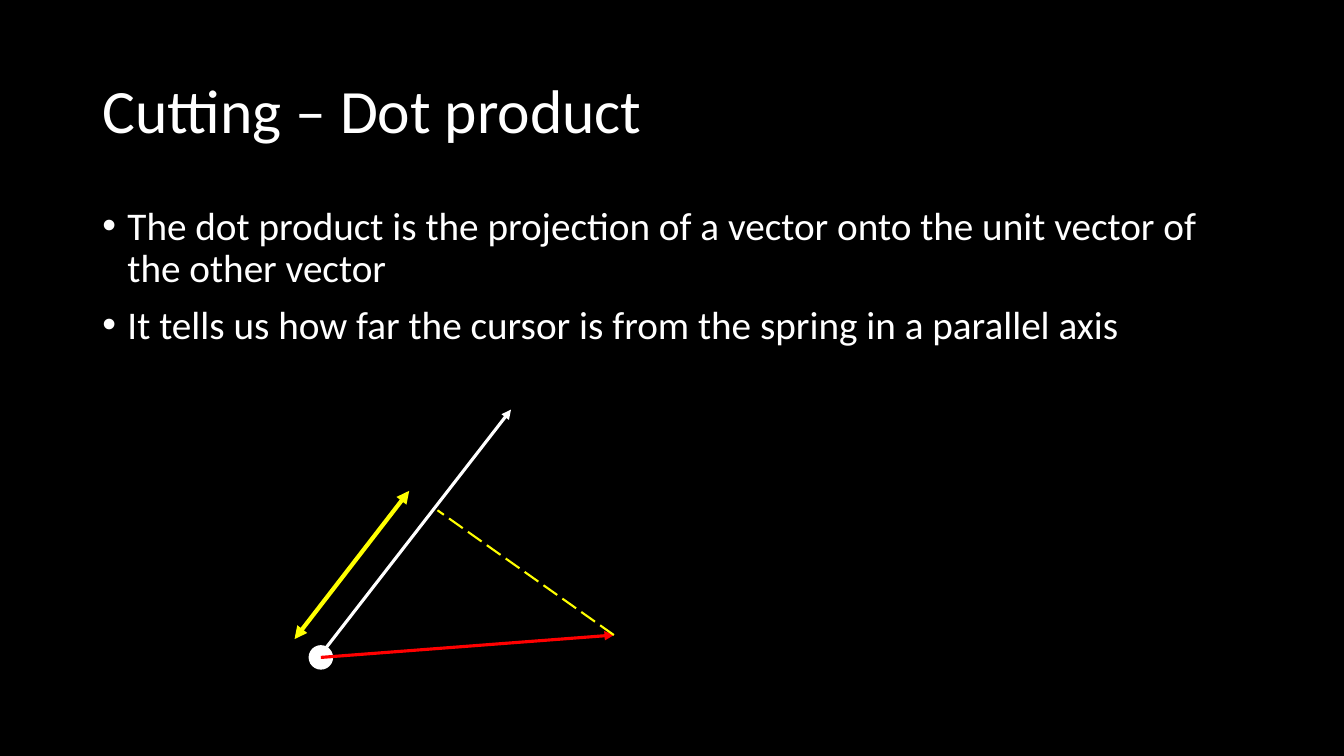
"""Build the slide on the dot product of two vectors."""
from dataclasses import dataclass

from lxml.etree import SubElement as Sub
from pptx import Presentation
from pptx.dml.color import RGBColor as Rgb
from pptx.enum.dml import MSO_LINE as Dash
from pptx.enum.shapes import MSO_CONNECTOR as Conn, MSO_SHAPE as Geo
from pptx.enum.text import MSO_ANCHOR as Anchor
from pptx.oxml.ns import qn
from pptx.slide import Slide
from pptx.util import Pt

HUES = {"back": "000000", "ink": "FFFFFF", "red": "FF0000", "gold": "FFFF00"}
LEFT, WIDE = 66, 828
INDENT = 18

Point = tuple[float, float]


@dataclass
class Block:
    top: float
    high: float
    size: float
    anchor: Anchor
    lines: list[str]
    dots: bool = False


@dataclass
class Ray:
    start: Point
    end: Point
    hue: str
    width: float
    tips: tuple[str, ...] = ("tailEnd",)
    dash: Dash | None = None


BLOCKS = [
    Block(28.8, 104.4, 44, Anchor.MIDDLE, ["Cutting – Dot product"]),
    Block(144, 342.7, 28, Anchor.TOP, [
        "The dot product is the projection of a vector onto the unit vector of the other vector",
        "It tells us how far the cursor is from the spring in a parallel axis",
    ], dots=True),
]

HUB = (229.2, 469.6)
SIDE = 16.5
CURSOR = (438.5, 453.6)
RAYS = [
    Ray((223.2, 475.2), (365, 292.6), "ink", 2.25),
    Ray(HUB, CURSOR, "red", 2.25),
    Ray(CURSOR, (312.5, 364.5), "gold", 1.5, (), Dash.LONG_DASH),
    Ray((210.4, 456.5), (292.3, 350.6), "gold", 3, ("headEnd", "tailEnd")),
]


def tint(hue: str) -> Rgb:
    """Return the named colour."""
    return Rgb.from_string(HUES[hue])


def apply(item: object, form: dict) -> None:
    """Set each format value on the item."""
    for key, value in form.items():
        setattr(item, key, value)


def write(slide: Slide, block: Block) -> None:
    """Add a text block, with bullets if it asks for them."""
    box = slide.shapes.add_textbox(Pt(LEFT), Pt(block.top), Pt(WIDE), Pt(block.high))
    frame = box.text_frame
    apply(frame, {"word_wrap": True, "vertical_anchor": block.anchor})
    for index, line in enumerate(block.lines):
        para = frame.add_paragraph() if index else frame.paragraphs[0]
        apply(para, {"line_spacing": 0.9, "space_before": Pt(10 if index else 0)})
        if block.dots:
            props = para._p.get_or_add_pPr()
            props.set("marL", str(Pt(INDENT)))
            props.set("indent", str(Pt(-INDENT)))
            Sub(props, qn("a:buFont"), typeface="Arial")
            Sub(props, qn("a:buChar"), char="•")
        run = para.add_run()
        run.text = line
        apply(run.font, {"name": "Calibri", "size": Pt(block.size)})
        run.font.color.rgb = tint("ink")


def mark(slide: Slide, spot: Point) -> None:
    """Add the dot where the vectors start."""
    left, top = (Pt(axis - SIDE / 2) for axis in spot)
    dot = slide.shapes.add_shape(Geo.OVAL, left, top, Pt(SIDE), Pt(SIDE))
    dot.shadow.inherit = False
    for fill in (dot.fill, dot.line.fill):
        fill.solid()
        fill.fore_color.rgb = tint("ink")
    dot.line.width = Pt(1)


def draw(slide: Slide, ray: Ray) -> None:
    """Add a line with its dash and arrowheads."""
    ends = [Pt(axis) for axis in (*ray.start, *ray.end)]
    link = slide.shapes.add_connector(Conn.STRAIGHT, *ends)
    link.line.color.rgb = tint(ray.hue)
    apply(link.line, {"width": Pt(ray.width), "dash_style": ray.dash})
    for tip in ray.tips:
        Sub(link.line._get_or_add_ln(), qn(f"a:{tip}"), type="triangle")
    Sub(link._element.spPr, qn("a:effectLst"))


def main() -> None:
    """Build and save the slide."""
    deck = Presentation()
    apply(deck, {"slide_width": Pt(960), "slide_height": Pt(540)})
    slide = deck.slides.add_slide(deck.slide_layouts[6])
    fill = slide.background.fill
    fill.solid()
    fill.fore_color.rgb = tint("back")
    for block in BLOCKS:
        write(slide, block)
    mark(slide, HUB)
    for ray in RAYS:
        draw(slide, ray)
    deck.save("out.pptx")


if __name__ == "__main__":
    main()
